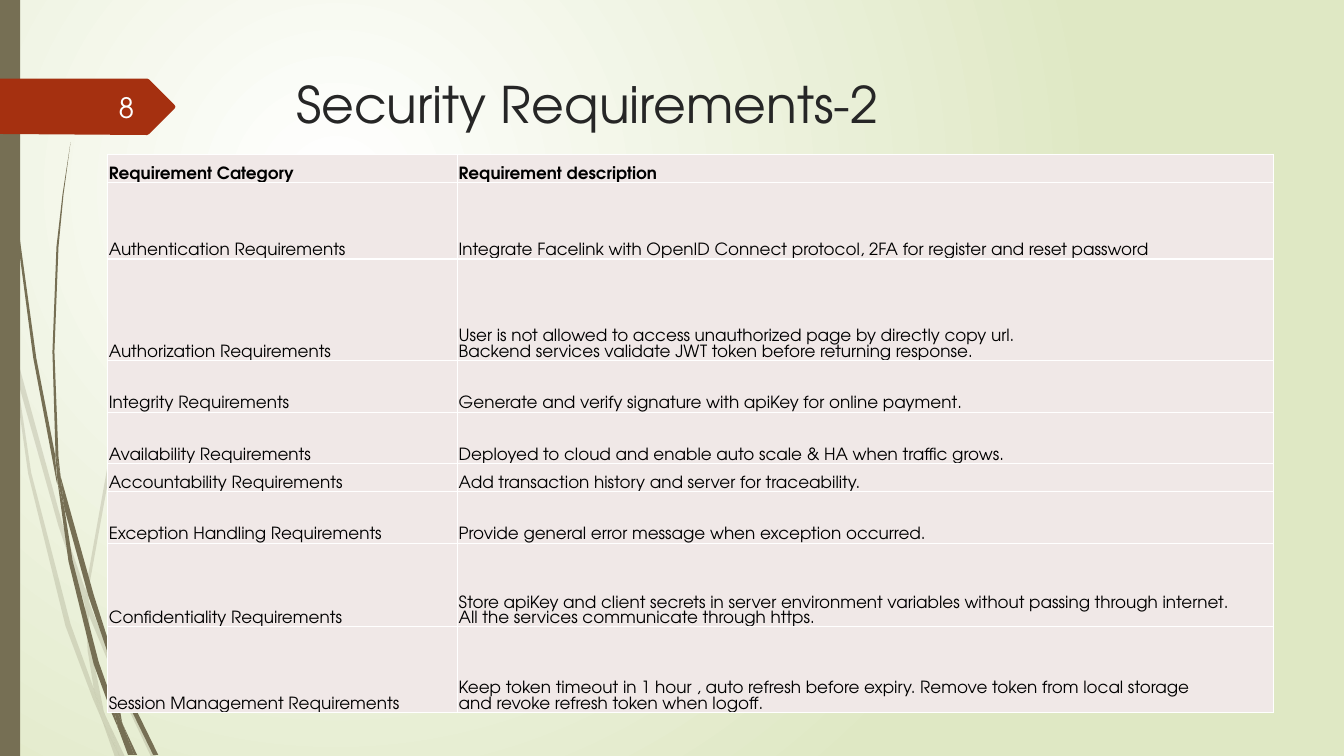
from dataclasses import dataclass

from lxml.etree import SubElement
from pptx import Presentation
from pptx.dml.color import RGBColor as Color
from pptx.enum.shapes import MSO_SHAPE as Shape
from pptx.enum.text import MSO_ANCHOR as Anchor, PP_ALIGN as Align
from pptx.oxml.ns import qn
from pptx.util import Inches, Pt


@dataclass(frozen=True)
class Theme:
    font: str = "TeX Gyre Adventor"
    title_size: int = 36
    number_size: int = 20
    table_size: int = 12
    title: str = "262626"
    text: str = "000000"
    light: str = "FFFFFF"
    number: str = "FEFFFF"
    edge: str = "DFE8C4"
    wisp: str = "766F54"
    tag: str = "A53010"
    cell: str = "F0E8E7"


@dataclass(frozen=True)
class Box:
    left: float
    top: float
    width: float
    height: float

    def lengths(self):
        return [Inches(v) for v in (self.left, self.top, self.width, self.height)]


THEME = Theme()

FAINT_WISPS = [
    [(0.11, 3.5), (0.09, 3.22), (0, 2.82), (0, 2.99), (0.1, 3.44)],
    [(0.58, 5.22), (0.84, 5.99), (0.85, 5.86), (0.62, 5.2), (0.14, 3.45), (0.17, 3.76)],
    [(0.92, 6.07), (0.88, 5.96), (0.88, 6.1), (1.23, 6.94), (1.5, 7.51), (1.55, 7.51),
     (1.27, 6.92)],
    [(1.19, 7.51), (1.24, 7.51), (1.05, 7.11)],
    [(0.93, 6.83), (0.7, 6.19), (0.31, 4.69), (0.17, 3.76), (0.11, 3.5), (0.28, 4.7),
     (0.65, 6.21), (0.92, 6.93), (1.01, 7.14), (0.99, 7.07)],
    [(0.84, 5.99), (0.87, 6.46), (0.93, 6.83), (0.96, 6.92), (1.05, 7.11), (1.03, 7.06),
     (0.91, 6.46), (0.88, 6.1), (0.88, 6.08)],
    [(0.88, 5.84), (1.1, 4.62), (1.6, 3.49), (2.29, 2.45), (2.68, 1.98), (2.9, 1.75),
     (3.12, 1.54), (3.12, 1.53), (2.89, 1.75), (2.68, 1.97), (2.28, 2.44), (1.58, 3.48),
     (1.07, 4.61), (0.85, 5.84), (0.85, 5.86), (0.88, 5.96)],
    [(1.01, 7.14), (1.14, 7.51), (1.19, 7.51)],
    [(0.88, 6.08), (0.88, 6.1), (0.88, 5.96), (0.85, 5.86), (0.84, 5.99)],
    [(0.96, 6.92), (0.93, 6.83), (0.99, 7.07), (1.01, 7.14), (1.19, 7.51), (1.05, 7.11)],
]

DARK_WISPS = [
    [(0.07, 1.1), (0.17, 2.33), (0.33, 3.55), (0.56, 4.77), (0.57, 4.81), (0.55, 4.57),
     (0.55, 4.53), (0.36, 3.55), (0.19, 2.32), (0.08, 1.09), (0.05, 0.48), (0.04, 0),
     (0.03, 0), (0.04, 0.48)],
    [(0.88, 5.92), (1.06, 6.45), (1.06, 6.33), (1.06, 6.31), (0.93, 5.9), (0.6, 4.72),
     (0.64, 5.05)],
    [(1.13, 6.49), (1.1, 6.41), (1.11, 6.56), (1.32, 7.08), (1.52, 7.49), (1.57, 7.49),
     (1.36, 7.06)],
    [(1.1, 6.91), (0.98, 6.57), (0.72, 5.56), (0.64, 5.05), (0.57, 4.77), (0.68, 5.57),
     (0.93, 6.59), (1.11, 7.08), (1.17, 7.22), (1.16, 7.17)],
    [(0.6, 4.72), (0.58, 4.53), (0.54, 3.49), (0.58, 2.45), (0.63, 1.93), (0.7, 1.41),
     (0.62, 1.93), (0.56, 2.45), (0.52, 3.49), (0.55, 4.49)],
    [(1.33, 7.49), (1.36, 7.49), (1.22, 7.19)],
    [(0.57, 4.77), (0.64, 5.05), (0.6, 4.72), (0.55, 4.49), (0.55, 4.53)],
    [(1.11, 6.33), (1.25, 5.52), (1.58, 4.76), (2.05, 4.06), (2.31, 3.74), (2.45, 3.59),
     (2.61, 3.44), (2.6, 3.44), (2.45, 3.58), (2.31, 3.73), (2.04, 4.05), (1.56, 4.74),
     (1.22, 5.51), (1.06, 6.31), (1.1, 6.41)],
    [(1.17, 7.22), (1.27, 7.49), (1.31, 7.49)],
    [(1.06, 6.45), (1.1, 6.91), (1.16, 7.06), (1.22, 7.19), (1.21, 7.16), (1.11, 6.56),
     (1.09, 6.51)],
    [(1.06, 6.45), (1.09, 6.51), (1.11, 6.56), (1.1, 6.41), (1.06, 6.31), (1.06, 6.33)],
    [(1.16, 7.06), (1.1, 6.91), (1.16, 7.17), (1.17, 7.22), (1.3, 7.49), (1.33, 7.49),
     (1.22, 7.19)],
]

TAG_OUTLINE = [(0, 0), (1.46, 0), (1.48, 0.01), (1.73, 0.26), (1.74, 0.28), (1.73, 0.3),
               (1.48, 0.55), (1.46, 0.56), (0, 0.55)]

COLUMN_WIDTHS = [3.47, 8.09]
REQUIREMENTS = [
    (0.28, "Requirement Category", "Requirement description"),
    (0.76, "Authentication Requirements",
     "Integrate Facelink with OpenID Connect protocol, 2FA for register and reset password"),
    (1.01, "Authorization Requirements",
     "User is not allowed to access unauthorized page by directly copy url.\n"
     "Backend services validate JWT token before returning response."),
    (0.51, "Integrity Requirements",
     "Generate and verify signature with apiKey for online payment."),
    (0.51, "Availability Requirements",
     "Deployed to cloud and enable auto scale & HA when traffic grows."),
    (0.28, "Accountability Requirements",
     "Add transaction history and server for traceability."),
    (0.51, "Exception Handling Requirements",
     "Provide general error message when exception occurred."),
    (0.83, "Confidentiality Requirements",
     "Store apiKey and client secrets in server environment variables without passing "
     "through internet.\nAll the services communicate through https."),
    (0.85, "Session Management Requirements",
     "Keep token timeout in 1 hour , auto refresh before expiry. Remove token from local "
     "storage \nand revoke refresh token when logoff."),
]


def paint(shape, color, alpha=100):
    shape.shadow.inherit = False
    shape.fill.solid()
    shape.fill.fore_color.rgb = Color.from_string(color)
    shape.line.fill.background()
    if alpha < 100:
        color_element = shape.element.spPr.find(qn("a:solidFill"))[0]
        SubElement(color_element, qn("a:alpha"), val=str(alpha * 1000))


def add_outline(slide, box, points, color, alpha=100):
    corners = [(Inches(box.left + x), Inches(box.top + y)) for x, y in points]
    builder = slide.shapes.build_freeform(*corners[0], scale=1.0)
    builder.add_line_segments(corners[1:], close=True)
    paint(builder.convert_to_shape(), color, alpha)


def write(paragraph, text, size, color, bold=False):
    for index, line in enumerate(text.split("\n")):
        if index:
            paragraph.add_line_break()
        run = paragraph.add_run()
        run.text = line
        run.font.name = THEME.font
        run.font.size = Pt(size)
        run.font.bold = bold
        run.font.color.rgb = Color.from_string(color)


def add_label(slide, box, text, size, color, anchor=Anchor.TOP, align=Align.LEFT):
    frame = slide.shapes.add_textbox(*box.lengths()).text_frame
    frame.word_wrap = True
    frame.vertical_anchor = anchor
    paragraph = frame.paragraphs[0]
    paragraph.alignment = align
    write(paragraph, text, size, color)


def add_background(slide):
    fill = slide.background.fill
    fill.gradient()
    for stop, color in zip(fill.gradient_stops, (THEME.light, THEME.edge)):
        stop.color.rgb = Color.from_string(color)
    gradient = slide.element.find(".//" + qn("a:gradFill"))
    gradient.remove(gradient.find(qn("a:lin")))
    circle = SubElement(gradient, qn("a:path"), path="circle")
    SubElement(circle, qn("a:fillToRect"), l="50000", t="50000", r="100000", b="100000")


def add_wisps(slide, box):
    for wisps, alpha in ((FAINT_WISPS, 20), (DARK_WISPS, 100)):
        for points in wisps:
            add_outline(slide, box, points, THEME.wisp, alpha)
    bar = Box(box.left, box.top, 0.2, box.height)
    paint(slide.shapes.add_shape(Shape.RECTANGLE, *bar.lengths()), THEME.wisp)


def add_page_tag(slide, box, number):
    add_outline(slide, box, TAG_OUTLINE, THEME.tag)
    label = Box(box.left + 0.58, box.top + 0.08, 0.85, 0.4)
    add_label(slide, label, number, THEME.number_size, THEME.number, Anchor.MIDDLE, Align.RIGHT)


def style_cell(cell):
    cell.margin_left = cell.margin_right = cell.margin_top = Inches(0.01)
    cell.margin_bottom = 0
    cell.vertical_anchor = Anchor.BOTTOM
    properties = cell._tc.get_or_add_tcPr()
    for side in ("lnL", "lnR", "lnT", "lnB"):
        line = SubElement(properties, qn("a:" + side), w=str(Pt(1)))
        SubElement(SubElement(line, qn("a:solidFill")), qn("a:srgbClr"), val=THEME.light)
    cell.fill.solid()
    cell.fill.fore_color.rgb = Color.from_string(THEME.cell)


def add_requirements(slide, box):
    table = slide.shapes.add_table(len(REQUIREMENTS), len(COLUMN_WIDTHS), *box.lengths()).table
    table.horz_banding = False
    for column, width in zip(table.columns, COLUMN_WIDTHS):
        column.width = Inches(width)
    for index, (height, *texts) in enumerate(REQUIREMENTS):
        table.rows[index].height = Inches(height)
        for cell, text in zip(table.rows[index].cells, texts):
            style_cell(cell)
            write(cell.text_frame.paragraphs[0], text, THEME.table_size, THEME.text, index == 0)


def main():
    presentation = Presentation()
    presentation.slide_width, presentation.slide_height = Inches(13.33), Inches(7.5)
    slide = presentation.slides.add_slide(presentation.slide_layouts[6])
    add_background(slide)
    add_wisps(slide, Box(0, 0, 3.12, 7.5))
    add_label(slide, Box(2.84, 0.68, 9.75, 1.08), "Security Requirements-2",
              THEME.title_size, THEME.title)
    add_page_tag(slide, Box(0, 0.78, 1.74, 0.56), "8")
    add_requirements(slide, Box(1.07, 1.53, 11.56, 5.52))
    presentation.save("out.pptx")


if __name__ == "__main__":
    main()
